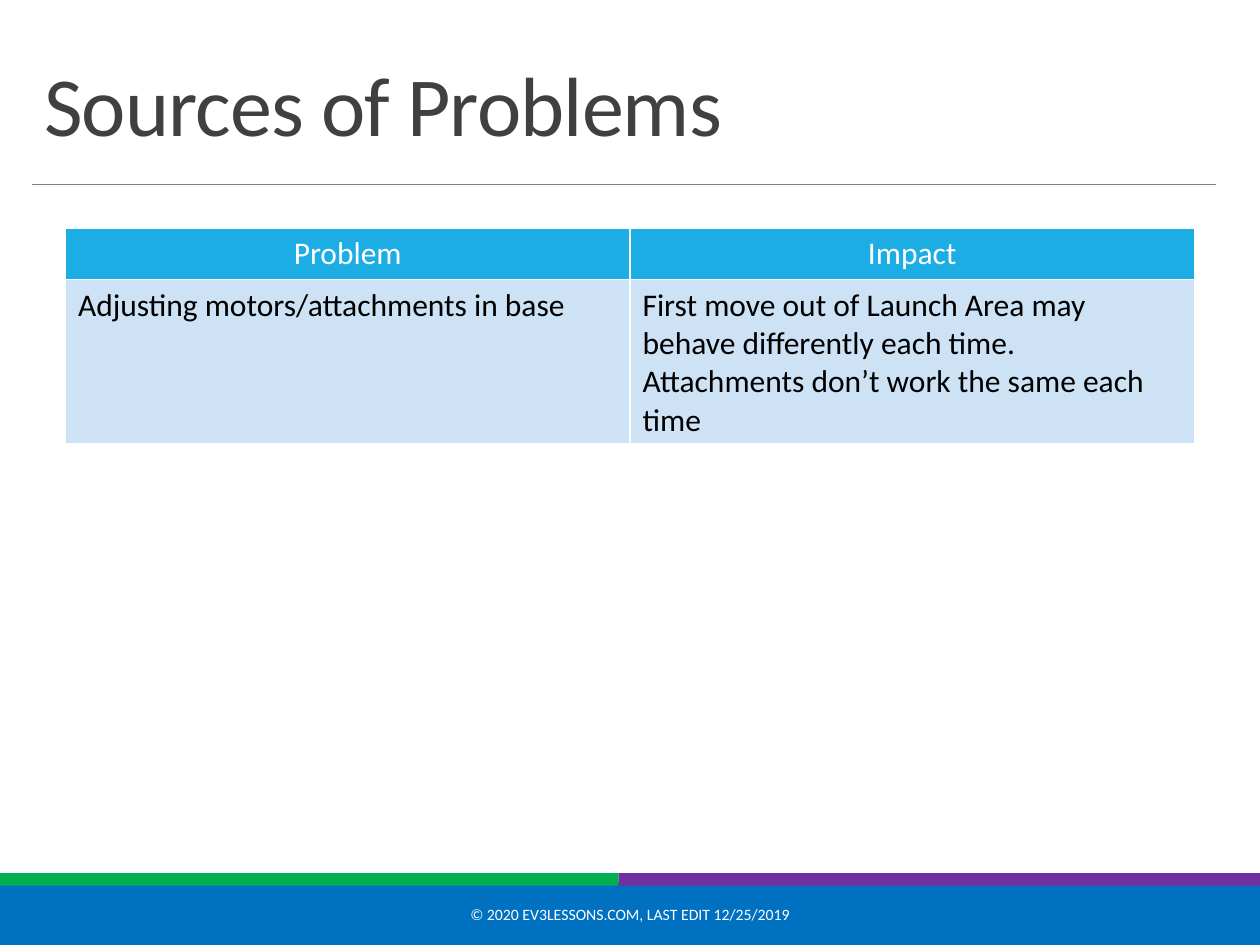
from dataclasses import dataclass

from lxml import etree
from pptx import Presentation
from pptx.dml.color import RGBColor
from pptx.enum.shapes import MSO_CONNECTOR, MSO_SHAPE
from pptx.enum.text import MSO_ANCHOR, MSO_AUTO_SIZE, PP_ALIGN
from pptx.oxml.ns import qn
from pptx.util import Inches, Pt

LEFT, CENTER = PP_ALIGN.LEFT, PP_ALIGN.CENTER
TOP, MIDDLE, BOTTOM = MSO_ANCHOR.TOP, MSO_ANCHOR.MIDDLE, MSO_ANCHOR.BOTTOM
RECTANGLE = MSO_SHAPE.RECTANGLE
STRAIGHT = MSO_CONNECTOR.STRAIGHT
NO_AUTOFIT = MSO_AUTO_SIZE.NONE
TITLE_ONLY = 5


@dataclass(frozen=True)
class Theme:
    font: str = "Calibri"
    title_size: float = 48
    table_size: float = 18
    footer_size: float = 9
    title: str = "404040"
    rule: str = "808080"
    text: str = "000000"
    light: str = "FFFFFF"
    header: str = "1CADE4"
    body: str = "CDE3F5"
    footer: str = "0070C0"
    left_stripe: str = "00B050"
    right_stripe: str = "7030A0"


THEME = Theme()
WIDTH, HEIGHT = 10, 7.5
HEADERS = ["Problem", "Impact"]
PROBLEMS = [
    (
        "Adjusting motors/attachments in base",
        "First move out of Launch Area may behave differently each time.\n"
        "Attachments don’t work the same each time",
    ),
]


def rgb(color):
    return RGBColor.from_string(color)


def write(frame, text, *, size, color, align=LEFT, anchor=TOP, line_spacing=None, tracking=None):
    """Fill a text frame, one paragraph for each line; tracking is in points."""
    frame.word_wrap = True
    frame.vertical_anchor = anchor
    frame.text = text
    for paragraph in frame.paragraphs:
        paragraph.alignment = align
        paragraph.line_spacing = line_spacing
        for run in paragraph.runs:
            run.font.name = THEME.font
            run.font.size = Pt(size)
            run.font.color.rgb = rgb(color)
            if tracking is not None:
                run.font._element.set("spc", str(round(tracking * 100)))


def add_band(slide, box, color):
    band = slide.shapes.add_shape(RECTANGLE, *map(Inches, box))
    band.shadow.inherit = False
    band.fill.solid()
    band.fill.fore_color.rgb = rgb(color)
    band.line.fill.background()
    return band


def add_footer(slide, box, text):
    left, top, width, height = box
    stripe_top, stripe_height = top - 0.07, 0.1
    split = 0.491 * width
    add_band(slide, box, THEME.footer)
    add_band(slide, (left, stripe_top, split, stripe_height), THEME.left_stripe)
    add_band(slide, (left + split, stripe_top, width - split, stripe_height), THEME.right_stripe)

    notice_width, notice_height = 0.396 * width, 0.8 * height
    notice = slide.shapes.add_textbox(
        Inches(left + (width - notice_width) / 2), Inches(top + 0.06),
        Inches(notice_width), Inches(notice_height),
    )
    write(notice.text_frame, text, size=THEME.footer_size, color=THEME.light,
          align=CENTER, anchor=MIDDLE)


def add_heading(slide, box, text):
    """Place the title with a thin rule below it."""
    left, top, width, height = box
    title = slide.shapes.title
    title.left, title.top, title.width, title.height = map(Inches, box)
    title.text_frame.auto_size = NO_AUTOFIT
    write(title.text_frame, text, size=THEME.title_size, color=THEME.title,
          anchor=BOTTOM, line_spacing=0.85, tracking=-0.5)

    rule_y = top + 1.2 * height
    rule = slide.shapes.add_connector(
        STRAIGHT, Inches(left), Inches(rule_y), Inches(left + width), Inches(rule_y))
    rule.line.color.rgb = rgb(THEME.rule)
    rule.line.width = Pt(0.5)
    etree.SubElement(rule._element.spPr, qn("a:effectLst"))


def add_borders(cell, color, width):
    properties = cell._tc.get_or_add_tcPr()
    for side in ("lnL", "lnR", "lnT", "lnB"):
        border = etree.SubElement(properties, qn(f"a:{side}"), w=str(Pt(width)))
        fill = etree.SubElement(border, qn("a:solidFill"))
        etree.SubElement(fill, qn("a:srgbClr"), val=color)


def add_problem_table(slide, box, headers, problems):
    left, top, width, height = box
    header_height = 0.24 * height
    rows = [headers, *problems]
    table = slide.shapes.add_table(len(rows), len(headers), *map(Inches, box)).table
    for column in table.columns:
        column.width = Inches(width / len(headers))
    for index, entries in enumerate(rows):
        is_header = index == 0
        row_height = header_height if is_header else (height - header_height) / len(problems)
        table.rows[index].height = Inches(row_height)
        for cell, entry in zip(table.rows[index].cells, entries):
            add_borders(cell, THEME.light, 1)
            cell.fill.solid()
            cell.fill.fore_color.rgb = rgb(THEME.header if is_header else THEME.body)
            write(cell.text_frame, entry, size=THEME.table_size,
                  color=THEME.light if is_header else THEME.text,
                  align=CENTER if is_header else LEFT)
            for run in (r for p in cell.text_frame.paragraphs for r in p.runs):
                run.font.bold = False


def main():
    deck = Presentation()
    deck.slide_width, deck.slide_height = Inches(WIDTH), Inches(HEIGHT)
    slide = deck.slides.add_slide(deck.slide_layouts[TITLE_ONLY])
    footer_height = HEIGHT / 15
    add_footer(slide, (0, HEIGHT - footer_height, WIDTH, footer_height),
               "© 2020 EV3LESSONS.COM, LAST EDIT 12/25/2019")
    add_heading(slide, (0.025 * WIDTH, 0.31, 0.94 * WIDTH, 0.96), "Sources of Problems")
    table_width = 0.896 * WIDTH
    add_problem_table(slide, ((WIDTH - table_width) / 2, 1.81, table_width, 1.71),
                      HEADERS, PROBLEMS)
    deck.save("out.pptx")


if __name__ == "__main__":
    main()
